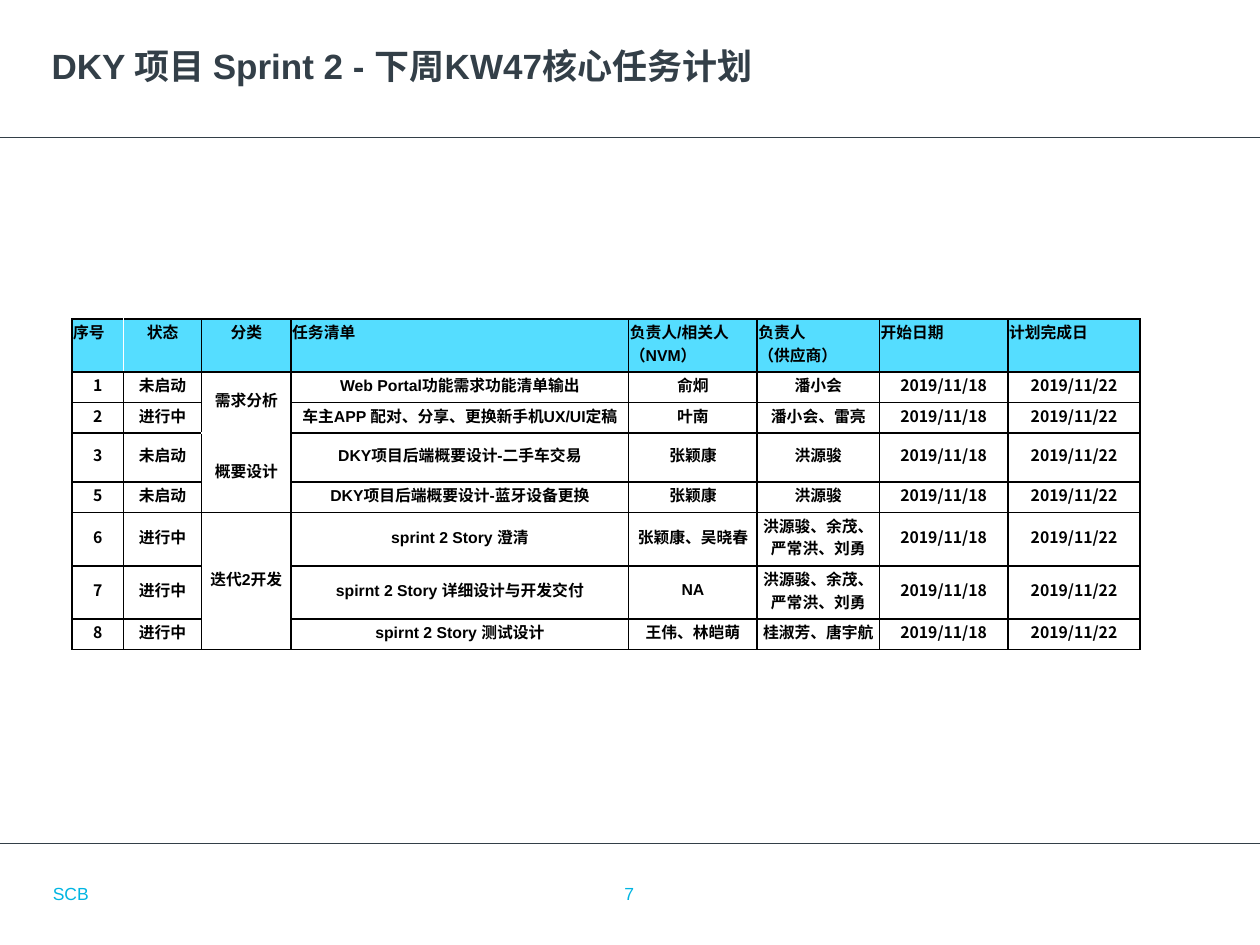
"""Build the sprint task plan slide with its table."""
from dataclasses import dataclass
from typing import Any

from lxml import etree
from pptx import Presentation
from pptx.dml.color import RGBColor
from pptx.enum import shapes, text
from pptx.oxml import ns
from pptx.util import Inches, Pt


@dataclass(frozen=True)
class Theme:
    ink: str = "333F48"
    sky: str = "00B5E2"
    head: str = "55DDFF"
    black: str = "000000"
    white: str = "FFFFFF"
    latin: str = "Arial"
    cjk: str = "Noto Sans CJK SC"
    title: float = 20
    foot: float = 10
    cell: float = 9


@dataclass(frozen=True)
class Task:
    num: str
    state: str
    group: str
    name: str
    owner: str
    vendor: str
    start: str = "2019/11/18"
    end: str = "2019/11/22"

    def row(self) -> list[str]:
        return [self.num, self.state, self.group, self.name,
                self.owner, self.vendor, self.start, self.end]


@dataclass(frozen=True)
class Label:
    text: str
    left: float
    width: float
    align: Any


T = Theme()
LEFT, MID = text.PP_ALIGN.LEFT, text.PP_ALIGN.CENTER
COLS = [0.41, 0.62, 0.71, 2.68, 1.02, 0.97, 1.02, 1.05]
ROWS = [0.36, 0.21, 0.21, 0.39, 0.21, 0.36, 0.21, 0.21]
HEADS = ["序号", "状态", "分类", "任务清单", "负责人/相关人\n（NVM）",
         "负责人\n（供应商）", "开始日期", "计划完成日"]
TEAM = "洪源骏、余茂、严常洪、刘勇"
TASKS = [
    Task("1", "未启动", "需求分析", "Web Portal功能需求功能清单输出", "俞炯", "潘小会"),
    Task("2", "进行中", "", "车主APP 配对、分享、更换新手机UX/UI定稿", "叶南", "潘小会、雷亮"),
    Task("3", "未启动", "概要设计", "DKY项目后端概要设计-二手车交易", "张颖康", "洪源骏"),
    Task("5", "未启动", "", "DKY项目后端概要设计-蓝牙设备更换", "张颖康", "洪源骏"),
    Task("6", "进行中", "迭代2开发", "sprint 2 Story 澄清", "张颖康、吴晓春", TEAM),
    Task("7", "进行中", "", "spirnt 2 Story 详细设计与开发交付", "NA", TEAM),
    Task("8", "进行中", "", "spirnt 2 Story 测试设计", "王伟、林皑萌", "桂淑芳、唐宇航"),
]
SPANS = [(1, 2), (3, 4), (5, 7)]
WHITE = {(0, 1): ["L"], (3, 2): ["T", "B"]}
LABELS = [Label("SCB", 0.42, 3.07, LEFT), Label("7", 3.83, 2.33, MID)]


def write(frame: Any, words: str, *, size: float, color: str, font: str = T.latin,
          bold: bool = False, align: Any = LEFT) -> None:
    """Fill a text frame, one paragraph per line."""
    frame.text = words
    for para in frame.paragraphs:
        para.alignment = align
        for run in para.runs:
            run.font.name, run.font.size, run.font.bold = font, Pt(size), bold
            run.font.color.rgb = RGBColor.from_string(color)
            east = etree.SubElement(run.font._element, ns.qn("a:ea"))
            east.set("typeface", T.cjk)


def bare(frame: Any, wrap: bool) -> None:
    """Remove insets and centre the text vertically."""
    frame.margin_left = frame.margin_right = 0
    frame.margin_top = frame.margin_bottom = 0
    frame.vertical_anchor = text.MSO_ANCHOR.MIDDLE
    frame.auto_size = text.MSO_AUTO_SIZE.NONE
    frame.word_wrap = wrap


def rule(slide: Any, top: float) -> None:
    """Draw a hairline across the slide."""
    line = slide.shapes.add_connector(
        shapes.MSO_CONNECTOR.STRAIGHT, 0, Inches(top), Inches(10), Inches(top))
    line.line.width = Pt(0.25)
    line.line.color.rgb = RGBColor.from_string(T.ink)
    etree.SubElement(line._element.spPr, ns.qn("a:effectLst"))


def label(slide: Any, item: Label) -> None:
    """Add a footer label."""
    box = slide.shapes.add_textbox(
        Inches(item.left), Inches(6.94), Inches(item.width), Inches(0.31))
    bare(box.text_frame, True)
    write(box.text_frame, item.text, size=T.foot, color=T.sky, align=item.align)


def border(cell: Any, white: list[str]) -> None:
    """Set the four cell borders, black unless listed as white."""
    props = cell._tc.get_or_add_tcPr()
    for spot, side in enumerate("LRTB"):
        edge = etree.Element(ns.qn(f"a:ln{side}"), w=str(Pt(1)))
        fill = etree.SubElement(edge, ns.qn("a:solidFill"))
        tone = T.white if side in white else T.black
        etree.SubElement(fill, ns.qn("a:srgbClr"), val=tone)
        props.insert(spot, edge)


def fill(cell: Any, row: int, col: int, words: str) -> None:
    """Format and fill one table cell."""
    head = row == 0
    cell.margin_left = cell.margin_right = cell.margin_top = Inches(0.01)
    cell.margin_bottom = Inches(0.05)
    cell.vertical_anchor = text.MSO_ANCHOR.TOP if head else text.MSO_ANCHOR.MIDDLE
    cell.fill.solid()
    cell.fill.fore_color.rgb = RGBColor.from_string(T.head if head else T.white)
    font = T.cjk if not head and col in (0, 1, 6, 7) else T.latin
    align = LEFT if head and col not in (1, 2) else MID
    write(cell.text_frame, words, size=T.cell, color=T.black, font=font,
          bold=True, align=align)
    border(cell, WHITE.get((row, col), []))


def plan(slide: Any) -> None:
    """Add the task table."""
    grid = slide.shapes.add_table(
        len(ROWS), len(COLS), Inches(0.57), Inches(2.53),
        Inches(sum(COLS)), Inches(sum(ROWS))).table
    grid.first_row = grid.horz_banding = False
    for col, width in zip(grid.columns, COLS):
        col.width = Inches(width)
    for row, height in zip(grid.rows, ROWS):
        row.height = Inches(height)
    for r, words in enumerate([HEADS] + [task.row() for task in TASKS]):
        for c, word in enumerate(words):
            fill(grid.cell(r, c), r, c, word)
    for first, last in SPANS:
        grid.cell(first, 2).merge(grid.cell(last, 2))


def main() -> None:
    """Build and save the slide."""
    deck = Presentation()
    deck.slide_width, deck.slide_height = Inches(10), Inches(7.5)
    slide = deck.slides.add_slide(deck.slide_layouts[5])
    for top in (6.69, 1.09):
        rule(slide, top)
    for item in LABELS:
        label(slide, item)
    title = slide.shapes.title
    title.left, title.top = Inches(0.41), Inches(0.21)
    title.width, title.height = Inches(8), Inches(0.62)
    bare(title.text_frame, False)
    write(title.text_frame, "DKY 项目 Sprint 2 - 下周KW47核心任务计划",
          size=T.title, color=T.ink, bold=True)
    plan(slide)
    deck.save("out.pptx")


if __name__ == "__main__":
    main()
